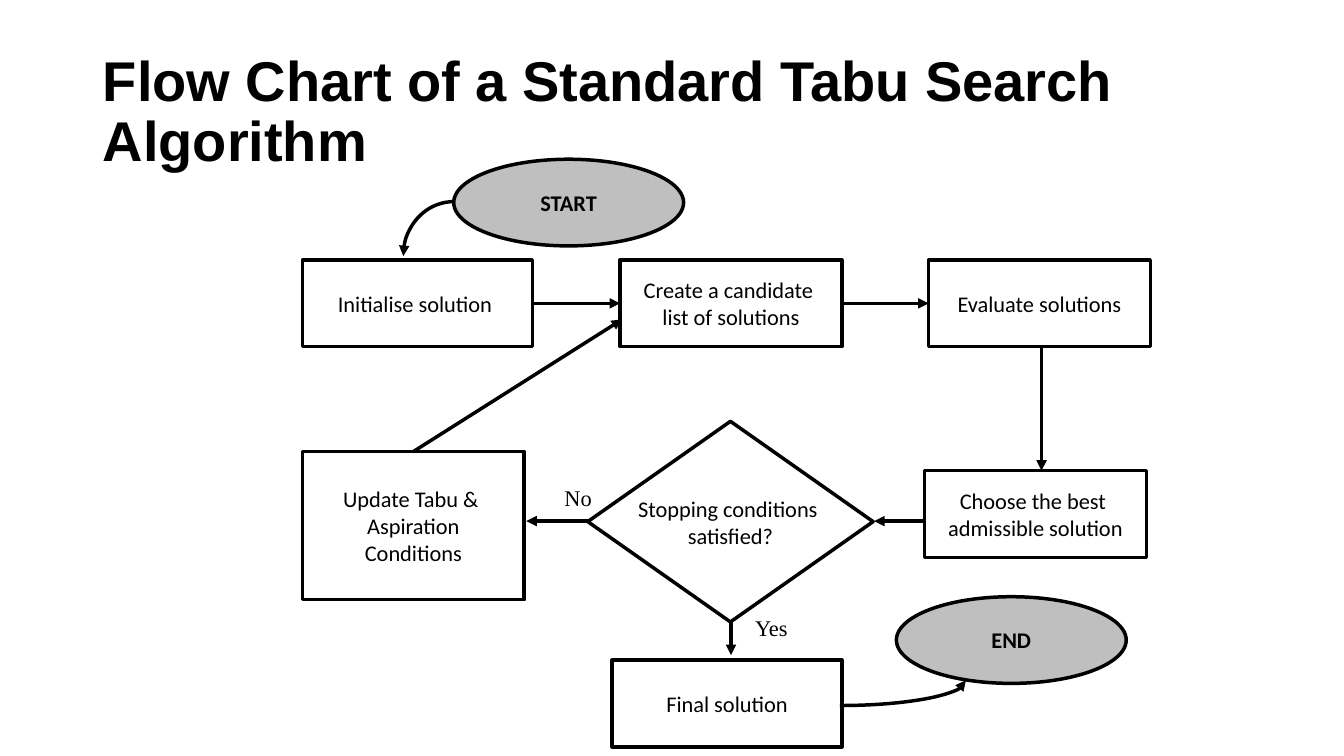
from lxml.etree import SubElement
from pptx import Presentation
from pptx.dml.color import RGBColor
from pptx.enum.shapes import MSO_CONNECTOR, MSO_SHAPE
from pptx.enum.text import MSO_ANCHOR, MSO_AUTO_SIZE, PP_ALIGN
from pptx.oxml.ns import qn
from pptx.util import Inches, Pt

BLACK = RGBColor(0, 0, 0)
WHITE = RGBColor(255, 255, 255)
GREY = RGBColor(191, 191, 191)


def write(frame, text, font="Calibri", size=16, bold=False,
          align=PP_ALIGN.CENTER, anchor=MSO_ANCHOR.MIDDLE,
          wrap=False, lead=None, fit=MSO_AUTO_SIZE.NONE):
    frame.word_wrap = wrap
    frame.auto_size = fit
    frame.vertical_anchor = anchor
    frame.text = text
    for para in frame.paragraphs:
        para.alignment = align
        para.line_spacing = lead
        for run in para.runs:
            run.font.name = font
            run.font.size = Pt(size)
            run.font.bold = bold
            run.font.color.rgb = BLACK


class Chart:
    """Draw the parts of a flow chart in one style on one slide."""

    def __init__(self, slide, color=BLACK, width=2.5):
        self.slide = slide
        self.shapes = slide.shapes
        self.color = color
        self.width = Pt(width)

    def stroke(self, shape, tip=None):
        shape.line.color.rgb = self.color
        shape.line.width = self.width
        if tip:
            SubElement(shape.line._get_or_add_ln(), qn(tip), type="triangle")

    def title(self, text, *area):
        title = self.shapes.title
        title.left, title.top, title.width, title.height = map(Inches, area)
        write(title.text_frame, text, font="Arial", size=40, bold=True,
              align=PP_ALIGN.LEFT, wrap=True, lead=0.9)

    def shape(self, kind, area, fill=None):
        shape = self.shapes.add_shape(kind, *map(Inches, area))
        shape.shadow.inherit = False
        if fill is None:
            shape.fill.background()
        else:
            shape.fill.solid()
            shape.fill.fore_color.rgb = fill
        return shape

    def node(self, text, x, y, w=2.2, h=0.86, kind=MSO_SHAPE.RECTANGLE,
             fill=None, bold=False):
        node = self.shape(kind, (x, y, w, h), fill)
        self.stroke(node)
        write(node.text_frame, text, bold=bold)

    def oval(self, text, x, y):
        self.node(text, x, y, w=2.28, kind=MSO_SHAPE.OVAL, fill=GREY, bold=True)

    def arrow(self, *ends):
        arrow = self.shapes.add_connector(
            MSO_CONNECTOR.STRAIGHT, *map(Inches, ends))
        self.stroke(arrow, "a:tailEnd")
        SubElement(arrow._element.spPr, qn("a:effectLst"))

    def curve(self, turn, *area):
        curve = self.shape(MSO_SHAPE.ARC, area)
        curve.rotation = turn
        self.stroke(curve, "a:headEnd")

    def label(self, text, *area):
        label = self.shapes.add_textbox(*map(Inches, area))
        write(label.text_frame, text, font="Times New Roman",
              align=PP_ALIGN.LEFT, anchor=MSO_ANCHOR.TOP,
              fit=MSO_AUTO_SIZE.SHAPE_TO_FIT_TEXT)


def main():
    deck = Presentation()
    deck.slide_width, deck.slide_height = Inches(13.33), Inches(7.5)
    chart = Chart(deck.slides.add_slide(deck.slide_layouts[5]))
    top, row, mid = 2.58, 3.01, 5.17

    chart.title("Flow Chart of a Standard Tabu Search Algorithm",
                0.92, 0.4, 11.5, 1.45)
    chart.node("Initialise solution ", 3, top, w=2.28)
    chart.node("Create a candidate \nlist of solutions", 6.15, top)
    chart.node("Update Tabu & \nAspiration\nConditions", 3, 4.48, h=1.47)
    chart.node("Final solution", 6.07, 6.55, w=2.28)

    for ends in (
        (5.28, row, 6.15, row),
        (8.35, row, 9.21, row),
        (4.1, 4.48, 6.17, 3.17),
        (6.08, mid, 5.22, mid),
        (9.53, mid, 8.67, mid),
        (10.33, 3.25, 10.33, 4.67),
        (7.25, 5.08, 7.25, 6.5),
    ):
        chart.arrow(*ends)
    chart.label("No", 5.5, 4.75, 0.49, 0.37)
    chart.label("Yes", 7.39, 6.04, 0.53, 0.37)

    chart.node("Choose the best \nadmissible solution", 9.17, 4.67, fill=WHITE)
    chart.node("Stopping conditions \nsatisfied?", 5.83, 4.18, w=2.83, h=1.99,
               kind=MSO_SHAPE.DIAMOND, fill=WHITE)
    chart.node("Evaluate solutions", 9.21, top, fill=WHITE)
    chart.oval("START", 4.5, 1.58)
    chart.oval("END", 8.89, 5.92)
    chart.curve(270, 3.96, 2.04, 1.08, 1)
    chart.curve(90, 8.08, 5.5, 0.5, 2.5)
    deck.save("out.pptx")


if __name__ == "__main__":
    main()
